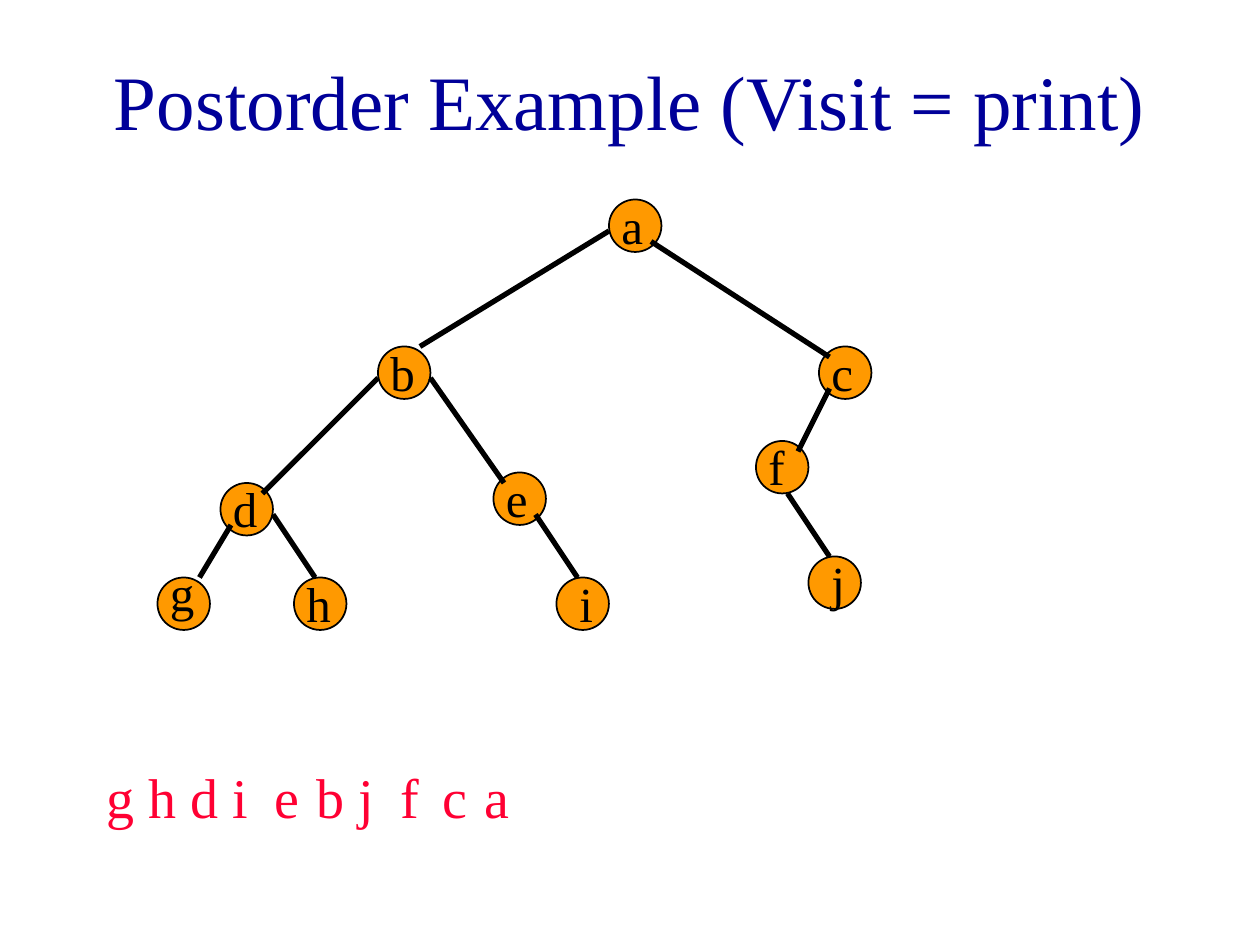
"""Build a slide that shows the postorder walk of a binary tree."""
import dataclasses

import lxml.etree
import pptx
import pptx.dml.color
import pptx.enum.shapes
import pptx.enum.text
import pptx.oxml.ns
import pptx.util

PX = 9525
SIZE = 40
STEP = 32
NODES = {
    "a": (464, 152), "b": (288, 264), "c": (624, 264), "d": (168, 368),
    "e": (376, 360), "f": (576, 336), "g": (120, 440), "h": (224, 440),
    "i": (424, 440), "j": (616, 424),
}
SHIFTS = {"g": (0, -16), "i": (8, -8), "j": (8, -8)}
EDGES = [
    ("a", (0, 24), "b", (32, 0)),
    ("a", (32, 32), "c", (8, 8)),
    ("b", (0, 24), "d", (32, 8)),
    ("b", (40, 24), "e", (8, 8)),
    ("c", (8, 32), "f", (32, 8)),
    ("d", (8, 32), "g", (32, 0)),
    ("d", (40, 24), "h", (16, 0)),
    ("e", (32, 32), "i", (16, 0)),
    ("f", (24, 40), "j", (16, 0)),
]
ORDER = "ghdiebjfca"


@dataclasses.dataclass(frozen=True)
class Theme:
    font: str = "Times New Roman"
    title: str = "000099"
    ink: str = "000000"
    node: str = "FF9900"
    print: str = "FF0033"
    head: int = 44
    label: int = 28
    out: int = 32


THEME = Theme()


def scale(*nums):
    return [pptx.util.Emu(num * PX) for num in nums]


def shift(spot, move):
    return spot[0] + move[0], spot[1] + move[1]


def tint(code):
    return pptx.dml.color.RGBColor.from_string(code)


def add_run(para, text, size, color):
    run = para.add_run()
    run.text = text
    run.font.name = THEME.font
    run.font.size = pptx.util.Pt(size)
    run.font.color.rgb = tint(color)


def add_title(slide, text):
    title = slide.shapes.title
    title.left, title.top, title.width, title.height = scale(72, 16, 816, 120)
    frame = title.text_frame
    frame.auto_size = pptx.enum.text.MSO_AUTO_SIZE.NONE
    frame.vertical_anchor = pptx.enum.text.MSO_ANCHOR.MIDDLE
    para = frame.paragraphs[0]
    para.alignment = pptx.enum.text.PP_ALIGN.CENTER
    add_run(para, text, THEME.head, THEME.title)


def add_node(slide, spot):
    kind = pptx.enum.shapes.MSO_SHAPE.OVAL
    node = slide.shapes.add_shape(kind, *scale(*spot, SIZE, SIZE))
    node.shadow.inherit = False
    node.fill.solid()
    node.fill.fore_color.rgb = tint(THEME.node)
    node.line.color.rgb = tint(THEME.ink)
    node.line.width = pptx.util.Pt(1)


def add_edge(slide, start, end):
    kind = pptx.enum.shapes.MSO_CONNECTOR.STRAIGHT
    edge = slide.shapes.add_connector(kind, *scale(*start, *end))
    edge.line.color.rgb = tint(THEME.ink)
    edge.line.width = pptx.util.Pt(3)
    props = edge._element.spPr
    lxml.etree.SubElement(props, pptx.oxml.ns.qn("a:effectLst"))


def add_text(slide, text, box, size, color, space):
    frame = slide.shapes.add_textbox(*scale(*box)).text_frame
    frame.word_wrap = True
    frame.auto_size = pptx.enum.text.MSO_AUTO_SIZE.SHAPE_TO_FIT_TEXT
    para = frame.paragraphs[0]
    para.space_before = pptx.util.Pt(space)
    add_run(para, text, size, color)


def add_tree(slide):
    for spot in NODES.values():
        add_node(slide, spot)
    for top, start, low, end in EDGES:
        add_edge(slide, shift(NODES[top], start), shift(NODES[low], end))
    for name, spot in NODES.items():
        left, top = shift(spot, SHIFTS.get(name, (0, -8)))
        add_text(slide, name, (left, top, 80, 55),
                 THEME.label, THEME.ink, 17.5)


def add_order(slide):
    for rank, name in enumerate(ORDER):
        add_text(slide, name, (72 + rank * STEP, 576, 40, 61),
                 THEME.out, THEME.print, 20)


def main():
    deck = pptx.Presentation()
    deck.slide_width, deck.slide_height = scale(960, 720)
    slide = deck.slides.add_slide(deck.slide_layouts[5])
    add_title(slide, "Postorder Example (Visit = print)")
    add_tree(slide)
    add_order(slide)
    deck.save("out.pptx")


if __name__ == "__main__":
    main()
